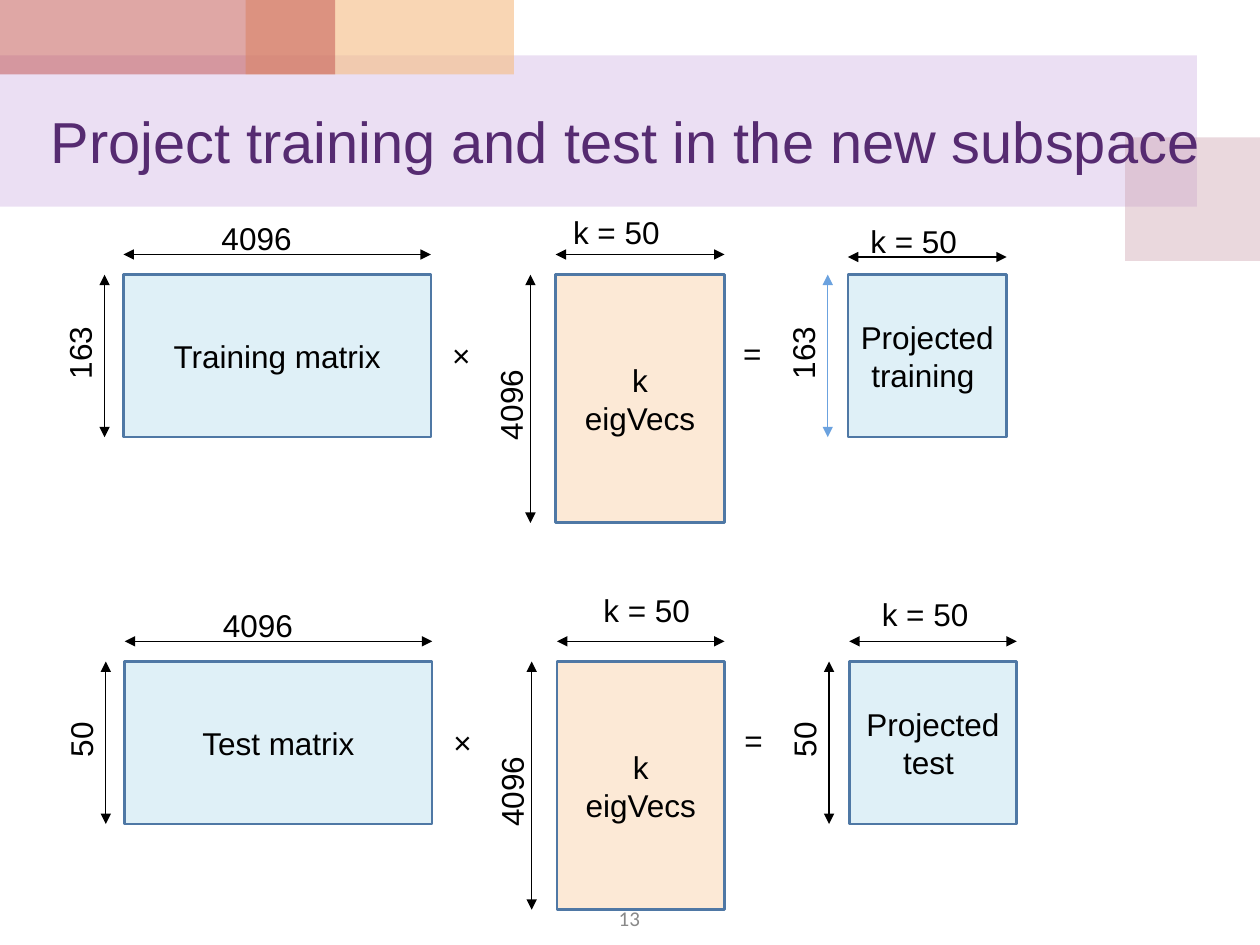
from dataclasses import dataclass

from lxml.etree import SubElement
from pptx import Presentation
from pptx.dml.color import RGBColor
from pptx.enum.shapes import MSO_CONNECTOR, MSO_SHAPE
from pptx.enum.text import MSO_ANCHOR, PP_ALIGN
from pptx.oxml.ns import qn
from pptx.util import Inches, Pt


@dataclass(frozen=True)
class Theme:
    font: str = "Arial"
    number_font: str = "Calibri"
    title_size: float = 33
    label_size: float = 18
    number_size: float = 12
    title: str = "562B71"
    ink: str = "000000"
    number: str = "898989"
    data: str = "DFF0F7"
    vectors: str = "FCE9D6"
    outline: str = "4F78A5"
    accent: str = "6BA2DF"
    lilac: str = "BF98D8"
    rose: str = "CC9EAC"
    peach: str = "F5BC83"
    red: str = "C0504D"


theme = Theme()


def write(holder, text, size=theme.label_size, color=theme.ink, font=theme.font,
          align=PP_ALIGN.CENTER, anchor=MSO_ANCHOR.MIDDLE, wrap=False):
    frame = holder.text_frame
    frame.text = text
    frame.word_wrap = wrap
    frame.vertical_anchor = anchor
    for paragraph in frame.paragraphs:
        paragraph.alignment = align
        for run in paragraph.runs:
            run.font.size = Pt(size)
            run.font.name = font
            run.font.color.rgb = RGBColor.from_string(color)


def measure(x1, y1, x2, y2, color):
    arrow = slide.shapes.add_connector(
        MSO_CONNECTOR.STRAIGHT, Inches(x1), Inches(y1), Inches(x2), Inches(y2))
    arrow.line.color.rgb = RGBColor.from_string(color)
    arrow.line.width = Pt(0.75)
    outline = arrow.line._get_or_add_ln()
    for end in ("a:headEnd", "a:tailEnd"):
        SubElement(outline, qn(end), type="triangle")
    SubElement(arrow._element.spPr, qn("a:effectLst"))


prs = Presentation()
prs.slide_width, prs.slide_height = Inches(10), Inches(7.5)
slide = prs.slides.add_slide(prs.slide_layouts[5])

bands = [
    (0, 0.44, 9.5, 1.2, theme.lilac, 30),
    (8.93, 1.09, 1.07, 0.98, theme.rose, 40),
    (1.95, 0, 2.13, 0.59, theme.peach, 60),
    (0, 0, 2.66, 0.59, theme.red, 50),
]
for x, y, width, height, color, opacity in bands:
    band = slide.shapes.add_shape(
        MSO_SHAPE.RECTANGLE, Inches(x), Inches(y), Inches(width), Inches(height))
    band.shadow.inherit = False
    band.line.fill.background()
    band.fill.solid()
    band.fill.fore_color.rgb = RGBColor.from_string(color)
    tint = band._element.spPr.find(qn("a:solidFill"))[0]
    SubElement(tint, qn("a:alpha"), val=str(opacity * 1000))

title = slide.shapes.title
title.left, title.top = Inches(0.12), Inches(0.59)
title.width, title.height = Inches(9.69), Inches(1.05)
write(title, "Project training and test in the new subspace",
      theme.title_size, theme.title, wrap=True)
slide.shapes._spTree.append(title._element)

data_height, vectors_height = 1.29, 1.97
products = [
    (0.98, 2.18, "Training matrix", "Projected\ntraining ", 1.34, 1.26, 0.14, theme.accent,
     [("163", 0.32, 2.6, 0.62, 270), ("163", 6.06, 2.6, 0.62, 270),
      ("k = 50", 4.45, 1.64, 0.9, 0), ("k = 50", 6.81, 1.71, 0.9, 0)]),
    (0.99, 5.25, "Test matrix", "Projected\ntest ", 1.33, 1.33, 0.16, theme.ink,
     [("50", 0.4, 5.67, 0.48, 270), ("50", 6.14, 5.67, 0.48, 270),
      ("k = 50", 4.69, 4.64, 0.9, 0), ("k = 50", 6.9, 4.67, 0.9, 0)]),
]
for (left, top, source, result, vectors_width, result_width,
     result_gap, result_arrow, sizes) in products:
    matrices = [
        (source, left, 2.44, data_height, theme.data, 0.15, 0.16, theme.ink),
        ("k\neigVecs", left + 3.43, vectors_width, vectors_height, theme.vectors,
         0.2, 0.16, theme.ink),
        (result, left + 5.75, result_width, data_height, theme.data,
         0.16, result_gap, result_arrow),
    ]
    for text, x, width, height, fill, side_gap, top_gap, side_color in matrices:
        matrix = slide.shapes.add_shape(
            MSO_SHAPE.RECTANGLE, Inches(x), Inches(top), Inches(width), Inches(height))
        matrix.shadow.inherit = False
        matrix.fill.solid()
        matrix.fill.fore_color.rgb = RGBColor.from_string(fill)
        matrix.line.color.rgb = RGBColor.from_string(theme.outline)
        matrix.line.width = Pt(1.5)
        write(matrix, text)
        measure(x, top - top_gap, x + width, top - top_gap, theme.ink)
        measure(x - side_gap, top, x - side_gap, top + height, side_color)

    shared = [
        ("4096", left + 0.68, top - 0.49, 0.76, 0),
        ("4096", left + 2.69, top + 0.83, 0.76, 270),
        ("×", left + 2.51, top + 0.44, 0.38, 0),
        ("=", left + 4.82, top + 0.42, 0.35, 0),
    ]
    for text, x, y, width, rotation in shared + sizes:
        label = slide.shapes.add_textbox(Inches(x), Inches(y), Inches(width), Inches(0.4))
        label.rotation = rotation
        write(label, text, align=PP_ALIGN.LEFT, anchor=MSO_ANCHOR.TOP)

page_number = slide.shapes.add_textbox(Inches(3.83), Inches(7.15), Inches(2.33), Inches(0.27))
write(page_number, "13", theme.number_size, theme.number, theme.number_font, wrap=True)

prs.save("out.pptx")
